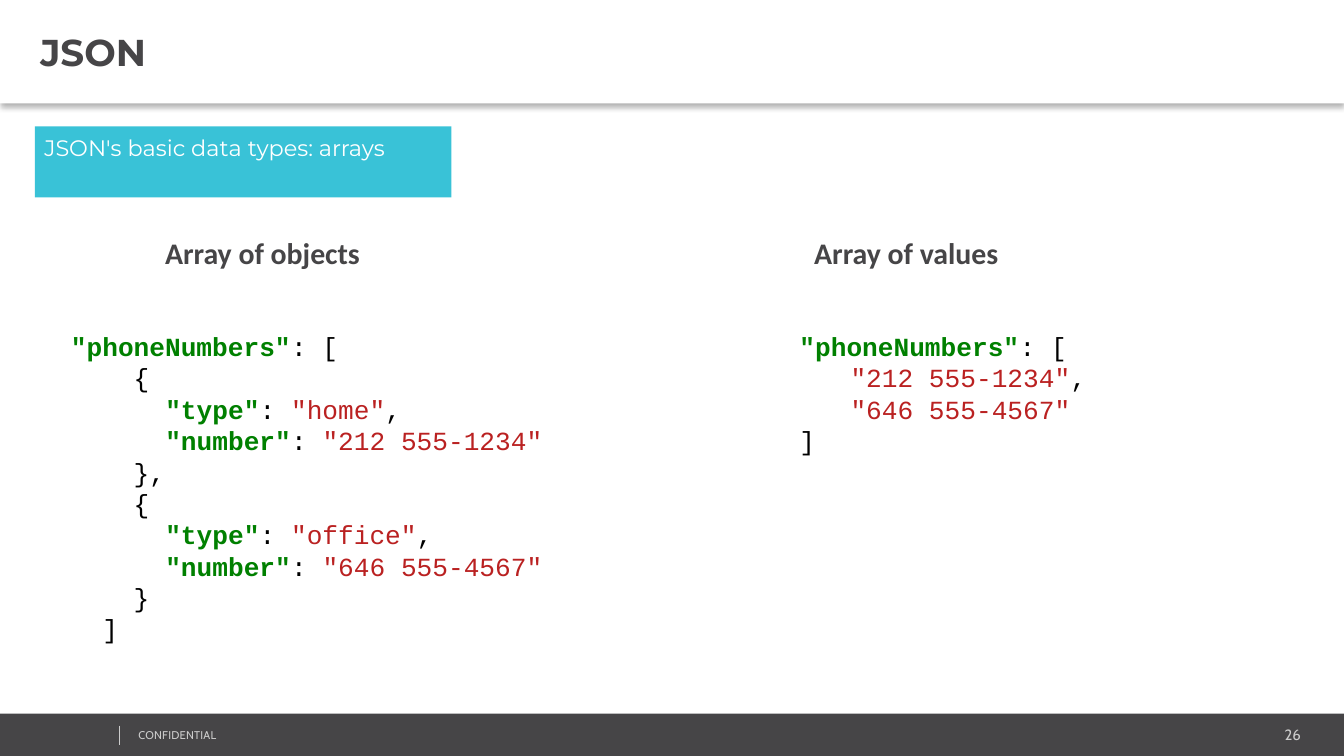
import lxml.etree
import pptx
import pptx.dml.color
import pptx.enum.shapes
import pptx.enum.text
import pptx.oxml.ns
import pptx.util

Inches = pptx.util.Inches
RGBColor = pptx.dml.color.RGBColor
qn = pptx.oxml.ns.qn
MSO_SHAPE = pptx.enum.shapes.MSO_SHAPE
MSO_ANCHOR = pptx.enum.text.MSO_ANCHOR
PP_ALIGN = pptx.enum.text.PP_ALIGN

DARK = RGBColor(0x46, 0x45, 0x47)
GREY = RGBColor(0xCC, 0xCC, 0xCC)
WHITE = RGBColor(0xFF, 0xFF, 0xFF)
TEAL = RGBColor(0x39, 0xC2, 0xD7)
BLACK = RGBColor(0x00, 0x00, 0x00)
GREEN = RGBColor(0x00, 0x80, 0x00)
RED = RGBColor(0xBA, 0x21, 0x21)

OBJECTS_CODE = """"phoneNumbers": [
    {
      "type": "home",
      "number": "212 555-1234"
    },
    {
      "type": "office",
      "number": "646 555-4567"
    }
  ]"""
VALUES_CODE = """"phoneNumbers": [
"212 555-1234",
"646 555-4567"
]"""

prs = pptx.Presentation()
prs.slide_width = Inches(10)
prs.slide_height = Inches(10 * 9 / 16)
s = prs.slides.add_slide(prs.slide_layouts[6])


def add_rect(left, top, width, height, color):
    sp = s.shapes.add_shape(MSO_SHAPE.RECTANGLE, Inches(left), Inches(top),
                            Inches(width), Inches(height))
    sp.shadow.inherit = False
    sp.fill.solid()
    sp.fill.fore_color.rgb = color
    sp.line.fill.background()
    return sp


def set_text(sp, text, font, size, color, bold=False, margins=(0.1, 0.05), align=PP_ALIGN.LEFT):
    tf = sp.text_frame
    tf.text = text
    tf.word_wrap = True
    tf.margin_left = tf.margin_right = Inches(margins[0])
    tf.margin_top = tf.margin_bottom = Inches(margins[1])
    p = tf.paragraphs[0]
    p.alignment = align
    r = p.runs[0]
    r.font.name = font
    r.font.size = pptx.util.Pt(size)
    r.font.bold = bold
    r.font.color.rgb = color
    return r


add_rect(0, 5.31, 10.01, 0.33, DARK)

number = s.shapes.add_textbox(Inches(8.12), Inches(5.36), Inches(1.63), Inches(0.21))
set_text(number, "26", "Cabin", 8, GREY, margins=(0.07, 0.04), align=PP_ALIGN.RIGHT)

footer = s.shapes.add_textbox(Inches(0.96), Inches(5.38), Inches(2.53), Inches(0.18))
r = set_text(footer, "CONFIDENTIAL", "Cabin", 6, GREY, margins=(0.07, 0.04))
r.font._element.set("spc", "10")

divider = s.shapes.add_connector(pptx.enum.shapes.MSO_CONNECTOR.STRAIGHT,
                                 Inches(0.89), Inches(5.4), Inches(0.89), Inches(5.54))
divider.line.color.rgb = GREY
divider.line.width = pptx.util.Pt(0.25)
lxml.etree.SubElement(divider._element.spPr, qn("a:effectLst"))

header = add_rect(0, 0, 10, 0.77, WHITE)
effects = header._element.spPr.find(qn("a:effectLst"))
shadow = lxml.etree.SubElement(effects, qn("a:outerShdw"), blurRad=str(pptx.util.Pt(3.1)),
                               dist=str(pptx.util.Pt(2)), dir="5400000", rotWithShape="0")
shadow_color = lxml.etree.SubElement(shadow, qn("a:srgbClr"), val=str(BLACK))
lxml.etree.SubElement(shadow_color, qn("a:alpha"), val="30000")
set_text(header, "JSON", "Montserrat", 20, DARK, bold=True, margins=(0.3, 0.04))
header.text_frame.margin_right = Inches(0.07)
header.text_frame.vertical_anchor = MSO_ANCHOR.MIDDLE

banner = add_rect(0.26, 0.94, 3.1, 0.53, TEAL)
set_text(banner, "JSON's basic data types: arrays", "Montserrat", 12, WHITE, margins=(0.07, 0.06))
banner.text_frame.vertical_anchor = MSO_ANCHOR.TOP

for left, width, height, code in [(0.43, 4.0, 2.46, OBJECTS_CODE),
                                  (5.85, 3.19, 1.04, VALUES_CODE)]:
    sp = s.shapes.add_textbox(Inches(left), Inches(2.41), Inches(width), Inches(height))
    tf = sp.text_frame
    tf.word_wrap = True
    for n, line in enumerate(code.split("\n")):
        p = tf.paragraphs[0] if n == 0 else tf.add_paragraph()
        if n > 0 and line.startswith('"'):
            p.level = 1
            p._p.get_or_add_pPr().set("marL", str(Inches(0.38)))
            p._p.get_or_add_pPr().set("indent", "0")
        pieces = line.split('"')
        for i, piece in enumerate(pieces):
            quoted = i % 2 == 1
            if not piece:
                continue
            is_key = quoted and pieces[i + 1].startswith(":")
            r = p.add_run()
            r.text = f'"{piece}"' if quoted else piece
            r.font.name = "Courier New"
            r.font.size = pptx.util.Pt(14)
            r.font.bold = is_key
            r.font.color.rgb = GREEN if is_key else RED if quoted else BLACK

for left, heading in [(1.13, "Array of objects"), (5.96, "Array of values")]:
    sp = s.shapes.add_textbox(Inches(left), Inches(1.7), Inches(1.77), Inches(0.37))
    set_text(sp, heading, "Calibri", 16, DARK, bold=True)

prs.save("out.pptx")
